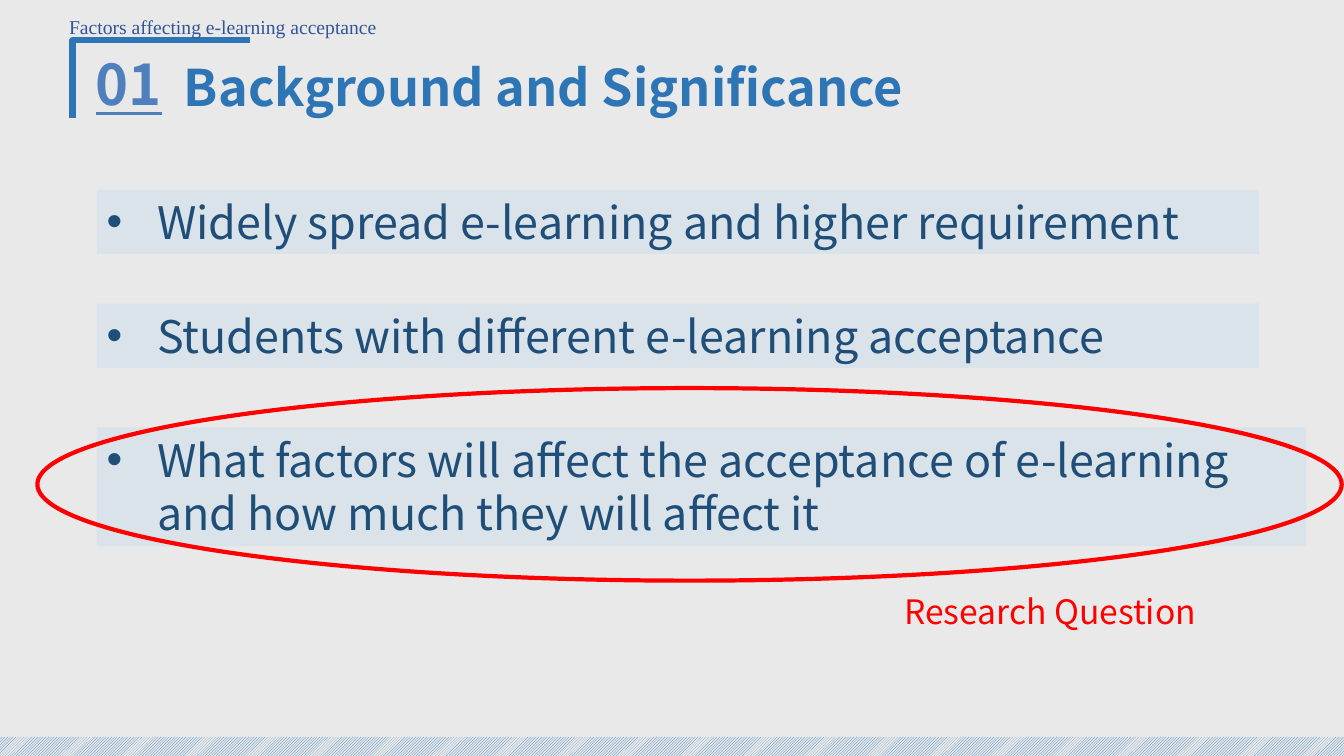
from dataclasses import dataclass

from lxml.etree import SubElement
from pptx import Presentation
from pptx.dml.color import RGBColor
from pptx.enum.dml import MSO_PATTERN
from pptx.enum.shapes import MSO_SHAPE
from pptx.enum.text import MSO_ANCHOR, PP_ALIGN
from pptx.oxml.ns import qn
from pptx.util import Inches, Pt

COLORS = {
    "paper": "E9E9E9", "accent": "2E75B6", "number": "4F7FBD",
    "band": "BDD7EE", "ink": "1F4E79", "alert": "FF0000", "tagline": "2F5597",
}
SANS = "Noto Sans CJK SC"
SERIF = "Times New Roman"
SLIDE_WIDTH, SLIDE_HEIGHT = Inches(13.33), Inches(7.5)
COLUMN, ROW = SLIDE_WIDTH / 100, SLIDE_HEIGHT / 100


@dataclass
class Box:
    left: float
    top: float
    width: float
    height: float

    def inner(self, left, top, width, height):
        return Box(self.left + left, self.top + top, width, height)

    def emu(self):
        return (round(self.left * COLUMN), round(self.top * ROW),
                round(self.width * COLUMN), round(self.height * ROW))


def rgb(name):
    return RGBColor.from_string(COLORS[name])


def write(frame, words, size, color, font=SANS, bold=False, underline=False):
    frame.word_wrap = True
    frame.vertical_anchor = MSO_ANCHOR.TOP
    paragraph = frame.paragraphs[0]
    paragraph.alignment = PP_ALIGN.LEFT
    run = paragraph.add_run()
    run.text = words
    run.font.size = Pt(size)
    run.font.name = font
    run.font.bold = bold
    run.font.underline = underline
    run.font.color.rgb = rgb(color)


def add_label(slide, box, words, size, color, **style):
    label = slide.shapes.add_textbox(*box.emu())
    write(label.text_frame, words, size, color, **style)


def add_bracket(slide, box):
    left, top, width, height = box.emu()
    outline = slide.shapes.build_freeform(left, top + height)
    outline.add_line_segments([(left, top), (left + width, top)], close=False)
    bracket = outline.convert_to_shape()
    bracket.shadow.inherit = False
    bracket.fill.background()
    bracket.line.color.rgb = rgb("accent")
    bracket.line.width = Pt(4.5)


def add_header(slide, box):
    add_bracket(slide, box.inner(1, 4, 13.2, 10.27))
    add_label(slide, box.inner(2, 4.53, 7.12, 10.27), "01", 40, "number",
              bold=True, underline=True)
    add_label(slide, box.inner(8.55, 5.47, 58.2, 9.47),
              "Background and Significance", 36, "accent", bold=True)
    add_label(slide, box.inner(0, 0, 50.1, 4.53),
              "Factors affecting e-learning acceptance", 14, "tagline", font=SERIF)


def add_point(slide, box, words):
    band = slide.shapes.add_shape(MSO_SHAPE.RECTANGLE, *box.emu())
    band.shadow.inherit = False
    band.line.fill.background()
    band.fill.solid()
    band.fill.fore_color.rgb = rgb("band")
    tint = band.element.spPr.find(qn("a:solidFill"))[0]
    SubElement(tint, qn("a:alpha"), val="31000")
    properties = band.text_frame.paragraphs[0]._p.get_or_add_pPr()
    properties.set("marL", str(Inches(0.5)))
    properties.set("indent", str(-Inches(0.5)))
    SubElement(properties, qn("a:buFont"), typeface="Arial")
    SubElement(properties, qn("a:buChar"), char="•")
    write(band.text_frame, words, 32, "ink")


def add_points(slide, box):
    points = [
        (0, 86.47, 8.53, "Widely spread e-learning and higher requirement"),
        (15.07, 86.47, 8.53, "Students with different e-learning acceptance"),
        (31.47, 90, 15.73, "What factors will affect the acceptance of e-learning "
                           "and how much they will affect it"),
    ]
    for top, width, height, words in points:
        add_point(slide, box.inner(4.42, top, width, height), words)
    highlight = slide.shapes.add_shape(
        MSO_SHAPE.OVAL, *box.inner(0, 26.27, box.width, 25.47).emu())
    highlight.shadow.inherit = False
    highlight.fill.background()
    highlight.line.color.rgb = rgb("alert")
    highlight.line.width = Pt(3)
    add_label(slide, box.inner(63.75, 52.4, 33.3, 6.67),
              "Research Question", 24, "alert")


def add_footer(slide, box):
    stripes = slide.shapes.add_shape(MSO_SHAPE.RECTANGLE, *box.emu())
    stripes.shadow.inherit = False
    stripes.line.fill.background()
    stripes.fill.patterned()
    stripes.fill.pattern = MSO_PATTERN.LIGHT_UPWARD_DIAGONAL
    stripes.fill.fore_color.rgb = rgb("accent")
    stripes.fill.back_color.rgb = rgb("paper")


def main():
    deck = Presentation()
    deck.slide_width, deck.slide_height = SLIDE_WIDTH, SLIDE_HEIGHT
    slide = deck.slides.add_slide(deck.slide_layouts[6])
    slide.background.fill.solid()
    slide.background.fill.fore_color.rgb = rgb("paper")
    add_footer(slide, Box(0, 97.47, 100, 2.53))
    add_header(slide, Box(4.4, 1.33, 66.75, 14.93))
    add_points(slide, Box(2.78, 25.07, 97.05, 59.07))
    deck.save("out.pptx")


if __name__ == "__main__":
    main()
